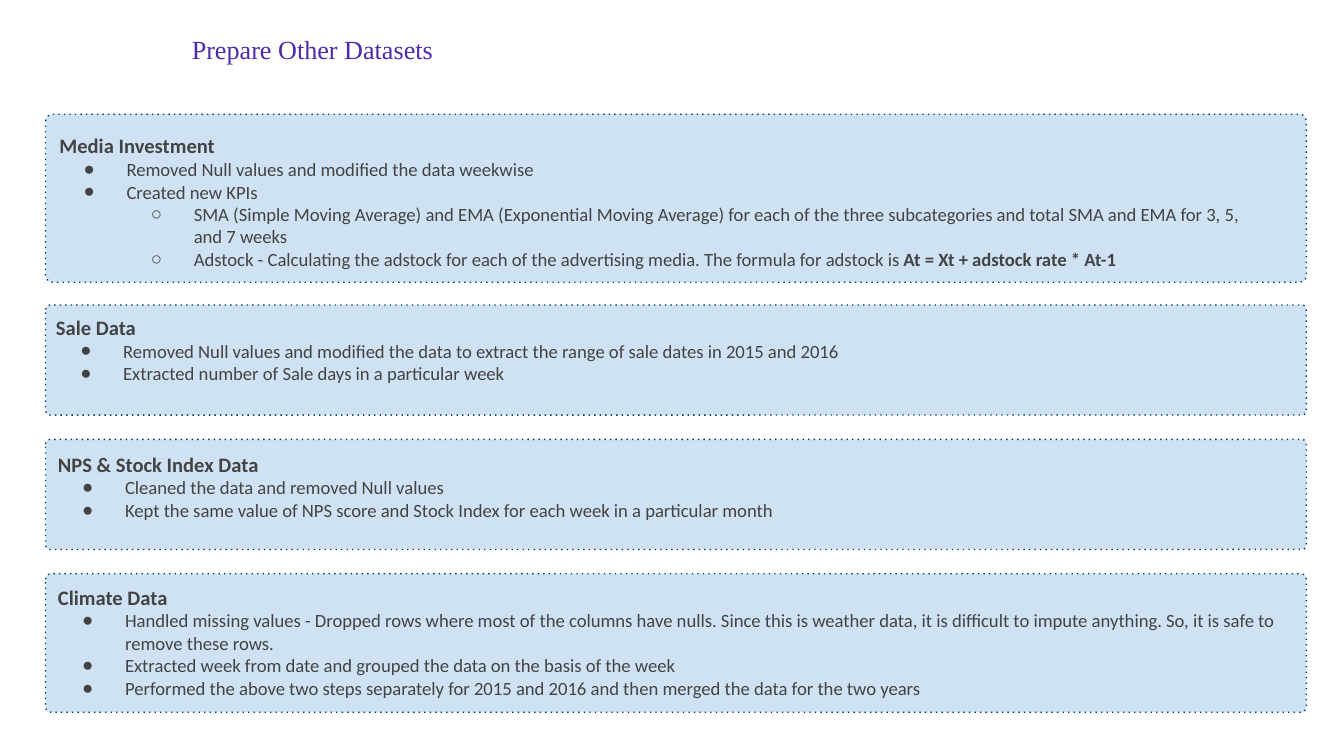
from dataclasses import dataclass

import lxml.etree
import pptx
import pptx.dml.color
import pptx.enum.shapes
import pptx.enum.text
import pptx.oxml.ns
import pptx.util

Pt = pptx.util.Pt
qn = pptx.oxml.ns.qn
INK, PANEL_FILL, PANEL_LINE, TITLE_INK = "434343", "9FC5E8", "073763", "4E29AA"
PANEL_LEFT, PANEL_WIDTH = 24.4, 675.4
BULLETS = "●○"
INSET = 7.2
INDENT, HANGING = 36, -23


@dataclass
class Item:
    text: str
    level: int = 0
    bold_tail: str = ""


@dataclass
class Section:
    heading: str
    items: list[Item]
    panel_top: float
    panel_height: float
    text_left: float
    text_top: float
    text_width: float
    text_height: float


SECTIONS = [
    Section("Media Investment", [
        Item("Removed Null values and modified the data weekwise"),
        Item("Created new KPIs"),
        Item("SMA (Simple Moving Average) and EMA (Exponential Moving Average) for each of "
             "the three subcategories and total SMA and EMA for 3, 5, and 7 weeks", 1),
        Item("Adstock - Calculating the adstock for each of the advertising media. "
             "The formula for adstock is ", 1, "At = Xt + adstock rate * At-1"),
    ], 61.2, 90, 24.6, 64.2, 649.4, 88.6),
    Section("Sale Data", [
        Item("Removed Null values and modified the data to extract the range of sale dates "
             "in 2015 and 2016"),
        Item("Extracted number of Sale days in a particular week"),
    ], 163.4, 59, 22.8, 161.4, 661.7, 51.8),
    Section("NPS & Stock Index Data", [
        Item("Cleaned the data and removed Null values"),
        Item("Kept the same value of NPS score and Stock Index for each week in a "
             "particular month"),
    ], 235.4, 59, 23.8, 234.7, 669.6, 51.8),
    Section("Climate Data", [
        Item("Handled missing values - Dropped rows where most of the columns have nulls. "
             "Since this is weather data, it is difficult to impute anything. So, it is safe "
             "to remove these rows."),
        Item("Extracted week from date and grouped the data on the basis of the week"),
        Item("Performed the above two steps separately for 2015 and 2016 and then merged "
             "the data for the two years"),
    ], 307.4, 74.2, 23.8, 306, 668.2, 76.3),
]


def rgb(value: str) -> pptx.dml.color.RGBColor:
    return pptx.dml.color.RGBColor.from_string(value)


def place(sp, left: float, top: float, width: float, height: float) -> None:
    sp.left, sp.top, sp.width, sp.height = Pt(left), Pt(top), Pt(width), Pt(height)


def format_run(r, size: float, color: str, bold: bool = False, font: str = "Calibri") -> None:
    r.font.size, r.font.name, r.font.bold = Pt(size), font, bold
    r.font.color.rgb = rgb(color)


def set_frame(tf, anchor) -> None:
    tf.word_wrap = True
    tf.auto_size = pptx.enum.text.MSO_AUTO_SIZE.NONE
    tf.vertical_anchor = anchor
    tf.margin_left = tf.margin_right = tf.margin_top = tf.margin_bottom = Pt(INSET)


def set_bullet(p, char: str, margin: float, indent: float) -> None:
    """Set paragraph spacing, indents and bullet; an empty char means no bullet."""
    p.space_before = p.space_after = Pt(0)
    p.line_spacing = 1.0
    pPr = p._p.get_or_add_pPr()
    pPr.set("marL", str(Pt(margin)))
    pPr.set("indent", str(Pt(indent)))
    if char:
        color = lxml.etree.SubElement(pPr, qn("a:buClr"))
        lxml.etree.SubElement(color, qn("a:srgbClr"), val=INK)
        lxml.etree.SubElement(pPr, qn("a:buChar"), char=char)
    else:
        lxml.etree.SubElement(pPr, qn("a:buNone"))


def draw_panel(s, section: Section) -> None:
    sp = s.shapes.add_shape(
        pptx.enum.shapes.MSO_SHAPE.ROUNDED_RECTANGLE, Pt(PANEL_LEFT), Pt(section.panel_top),
        Pt(PANEL_WIDTH), Pt(section.panel_height))
    sp.adjustments[0] = 0.04
    sp.shadow.inherit = False
    sp.fill.solid()
    sp.fill.fore_color.rgb = rgb(PANEL_FILL)
    spPr = sp._element.spPr
    fill_color = spPr.find(qn("a:solidFill")).find(qn("a:srgbClr"))
    lxml.etree.SubElement(fill_color, qn("a:alpha"), val="49000")
    sp.line.color.rgb = rgb(PANEL_LINE)
    sp.line.width = Pt(0.75)
    sp.line.dash_style = pptx.enum.dml.MSO_LINE.ROUND_DOT
    spPr.find(qn("a:ln")).find(qn("a:prstDash")).set("val", "dot")
    # Panels lie behind the placeholders
    s.shapes._spTree.insert(2, sp._element)


def fill_body(sp, section: Section) -> None:
    place(sp, section.text_left, section.text_top, section.text_width, section.text_height)
    tf = sp.text_frame
    set_frame(tf, pptx.enum.text.MSO_ANCHOR.TOP)
    tf.text = section.heading
    p = tf.paragraphs[0]
    set_bullet(p, "", 0, 0)
    format_run(p.runs[0], 11, INK, bold=True)
    for item in section.items:
        p = tf.add_paragraph()
        p.text = item.text
        p.level = item.level
        set_bullet(p, BULLETS[item.level], INDENT * (item.level + 1), HANGING)
        format_run(p.runs[0], 10, INK)
        if item.bold_tail:
            r = p.add_run()
            r.text = item.bold_tail
            format_run(r, 10, INK, bold=True)


def main() -> None:
    prs = pptx.Presentation()
    prs.slide_width, prs.slide_height = Pt(720), Pt(405)
    # The Comparison layout has a title and four bodies
    s = prs.slides.add_slide(prs.slide_layouts[4])

    # Title
    title = s.shapes.title
    place(title, 20.2, 12.2, 294.5, 28.1)
    set_frame(title.text_frame, pptx.enum.text.MSO_ANCHOR.MIDDLE)
    title.text_frame.text = "Prepare Other Datasets"
    p = title.text_frame.paragraphs[0]
    p.alignment = pptx.enum.text.PP_ALIGN.CENTER
    format_run(p.runs[0], 14, TITLE_INK, font="Times New Roman")

    # Sections
    bodies = [sp for sp in s.placeholders if sp.placeholder_format.idx != 0]
    for sp, section in zip(bodies, SECTIONS):
        draw_panel(s, section)
        fill_body(sp, section)

    prs.save("out.pptx")


if __name__ == "__main__":
    main()
